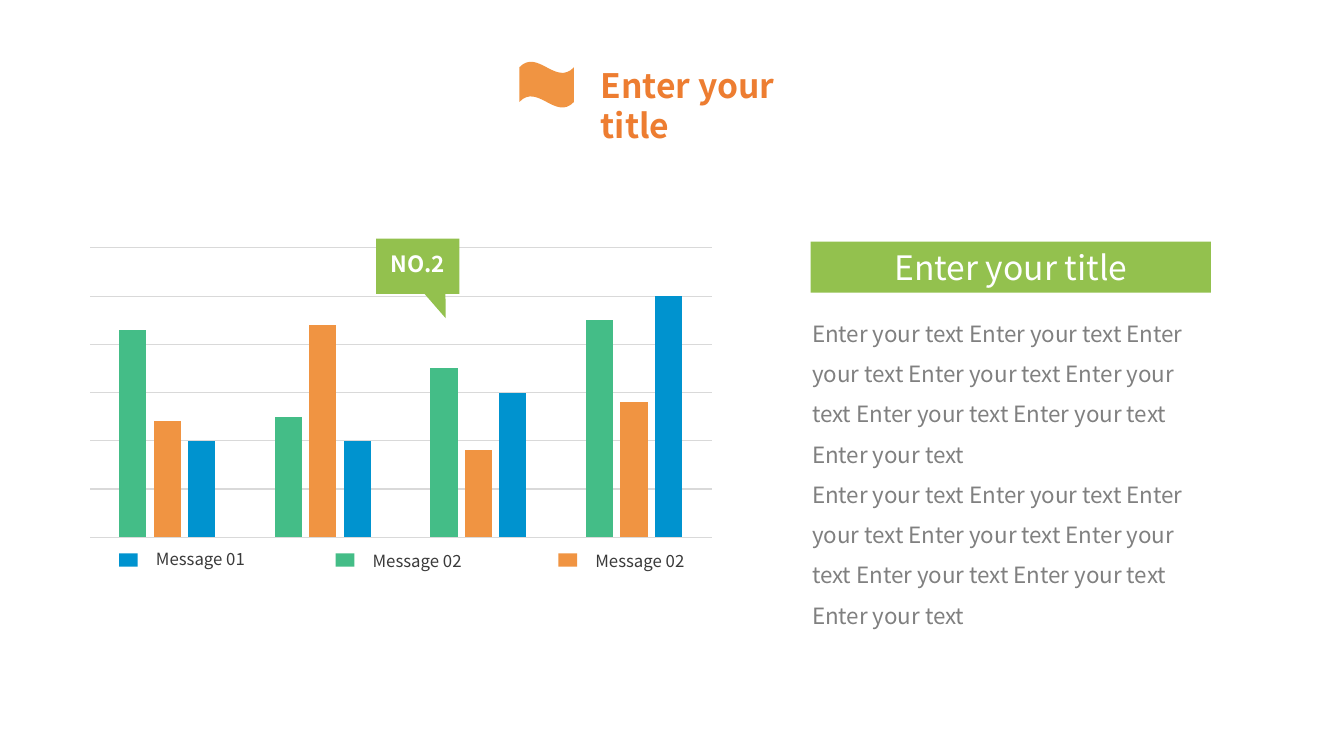
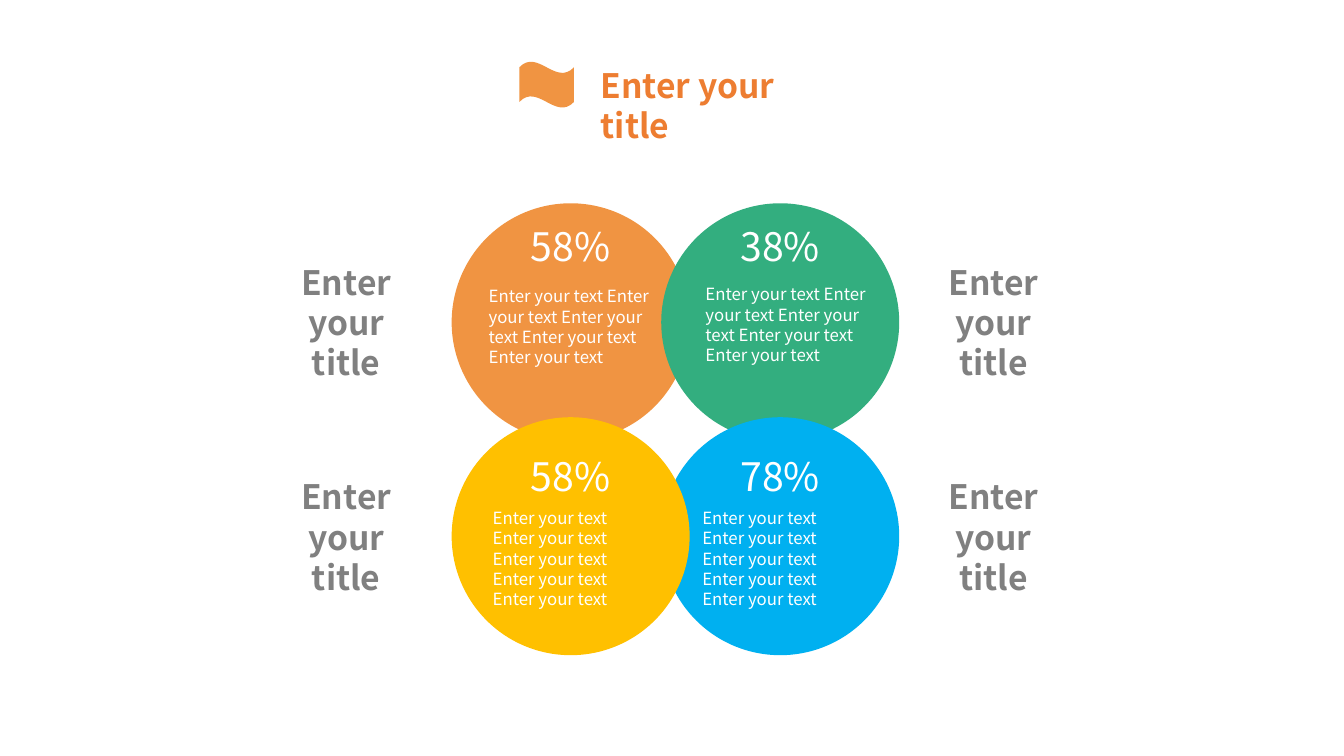
from pptx import Presentation
from pptx.chart.data import CategoryChartData
from pptx.dml.color import RGBColor
from pptx.enum.chart import XL_CHART_TYPE
from pptx.enum.shapes import MSO_SHAPE
from pptx.enum.text import MSO_ANCHOR, PP_ALIGN
from pptx.util import Pt

FONT = "Noto Sans CJK SC"
COLORS = {
    "orange": "F09442", "title": "ED7D31", "lime": "93C14E", "mint": "44BD87",
    "blue": "0093CF", "green": "33AE7F", "sky": "00B0F0", "yellow": "FFC000",
    "gray": "808080", "ink": "3A3A3A", "grid": "D9D9D9", "white": "FFFFFF",
    "black": "000000",
}
TITLE = "Enter your title"
PHRASE = "Enter your text"


def rgb(name):
    return RGBColor.from_string(COLORS[name])


def repeat_phrase(count):
    return " ".join([PHRASE] * count)


class Deck:
    """Hold the presentation style and the slide being built."""

    def __init__(self):
        self.presentation = Presentation()
        self.presentation.slide_width = Pt(960)
        self.presentation.slide_height = Pt(540)
        self.slide = None

    def new_slide(self):
        self.slide = self.presentation.slides.add_slide(self.presentation.slide_layouts[6])
        self.shape(MSO_SHAPE.WAVE, 371, 44, 39, 33, "orange")
        self.text(TITLE, 422, 42.5, 187, 36, 24, "title", bold=True)

    def fill_text(self, frame, content, size, color, bold=False, align=PP_ALIGN.LEFT,
                  spacing=None):
        frame.word_wrap = True
        frame.text = content
        for paragraph in frame.paragraphs:
            paragraph.alignment = align
            if spacing:
                paragraph.line_spacing = spacing
            font = paragraph.font
            font.name, font.size, font.bold = FONT, Pt(size), bold
            font.color.rgb = rgb(color)

    def text(self, content, left, top, width, height, size, color,
             anchor=MSO_ANCHOR.TOP, **style):
        box = self.slide.shapes.add_textbox(Pt(left), Pt(top), Pt(width), Pt(height))
        box.text_frame.vertical_anchor = anchor
        self.fill_text(box.text_frame, content, size, color, **style)

    def shape(self, kind, left, top, width, height, fill):
        shape = self.slide.shapes.add_shape(kind, Pt(left), Pt(top), Pt(width), Pt(height))
        shape.shadow.inherit = False
        shape.fill.solid()
        shape.fill.fore_color.rgb = rgb(fill)
        shape.line.fill.background()
        return shape

    def column_chart(self, left, top, width, height, categories, series):
        data = CategoryChartData()
        data.categories = categories
        for name, values, _ in series:
            data.add_series(name, values)
        chart = self.slide.shapes.add_chart(
            XL_CHART_TYPE.COLUMN_CLUSTERED, Pt(left), Pt(top), Pt(width), Pt(height), data).chart
        chart.has_legend = chart.has_title = False
        chart.font.name, chart.font.size = FONT, Pt(10)
        chart.font.color.rgb = rgb("black")
        chart.category_axis.visible = False
        scale = chart.value_axis
        scale.visible = False
        scale.minimum_scale, scale.maximum_scale, scale.major_unit = 0, 120, 20
        grid_line = scale.major_gridlines.format.line
        grid_line.color.rgb, grid_line.width = rgb("grid"), Pt(0.75)
        plot = chart.plots[0]
        plot.gap_width, plot.overlap, plot.vary_by_categories = 219, -27, False
        for columns, (_, _, color) in zip(plot.series, series):
            columns.format.fill.solid()
            columns.format.fill.fore_color.rgb = rgb(color)


def build_chart_slide(deck):
    deck.new_slide()
    deck.column_chart(54.7, 172.8, 463, 215.3, ["1", "2", "3", "4"], [
        ("Series 1", (86, 50, 70, 90), "mint"),
        ("Series 2", (48, 88, 36, 56), "orange"),
        ("Series 3", (40, 40, 60, 100), "blue"),
    ])
    for left, top, label, color in (
        (85, 388.6, "Message 01", "blue"),
        (239.8, 389.8, "Message 02", "mint"),
        (398.9, 389.8, "Message 02", "orange"),
    ):
        deck.shape(MSO_SHAPE.RECTANGLE, left, 395.2, 13.3, 9.5, color)
        deck.text(label, left + 19.3, top, 90, 21.6, 12, "ink")

    callout = deck.shape(MSO_SHAPE.RECTANGULAR_CALLOUT, 268.6, 170.4, 59.5, 39.6, "lime")
    callout.adjustments[0], callout.adjustments[1] = 0.336, 0.937
    callout.text_frame.margin_left = callout.text_frame.margin_right = 0
    callout.text_frame.margin_bottom = Pt(7.2)
    deck.fill_text(callout.text_frame, "NO.2", 16, "white", bold=True, align=PP_ALIGN.CENTER)

    deck.text("\n".join([repeat_phrase(8)] * 2), 573, 215.3, 297.4, 240, 16, "gray", spacing=1.5)
    banner = deck.shape(MSO_SHAPE.RECTANGLE, 579, 172.6, 286, 36.4, "lime")
    deck.fill_text(banner.text_frame, TITLE, 24, "white", align=PP_ALIGN.CENTER)


def build_circles_slide(deck):
    deck.new_slide()
    columns, rows, diameter = (322.6, 472.3), (145.2, 298), 170
    percent_tops, title_tops, title_lefts = (155.5, 319.7), (213.1, 366.5), (187.9, 650.2)
    circles = (
        (0, 0, "orange", "58%", (342, 200.9, 132.5)),
        (1, 0, "green", "38%", (496.8, 199.4, 130.3)),
        (1, 1, "sky", "78%", (494.6, 359.3, 102.2)),
        (0, 1, "yellow", "58%", (344.9, 359.3, 125.3)),
    )
    for column, row, color, _, _ in circles:
        deck.shape(MSO_SHAPE.OVAL, columns[column], rows[row], diameter, diameter, color)
    for column, row, _, percent, (left, top, width) in circles:
        deck.text(percent, columns[column] + 45.4, percent_tops[row], 79.2, 41, 28, "white",
                  align=PP_ALIGN.CENTER)
        deck.text(repeat_phrase(5), left, top, width, 80, 12, "white")
        deck.text(TITLE, title_lefts[column], title_tops[row], 118.8, 33.8, 24, "gray",
                  anchor=MSO_ANCHOR.MIDDLE, bold=True, align=PP_ALIGN.CENTER)


def main():
    deck = Deck()
    build_chart_slide(deck)
    build_circles_slide(deck)
    deck.presentation.save("out.pptx")


if __name__ == "__main__":
    main()
